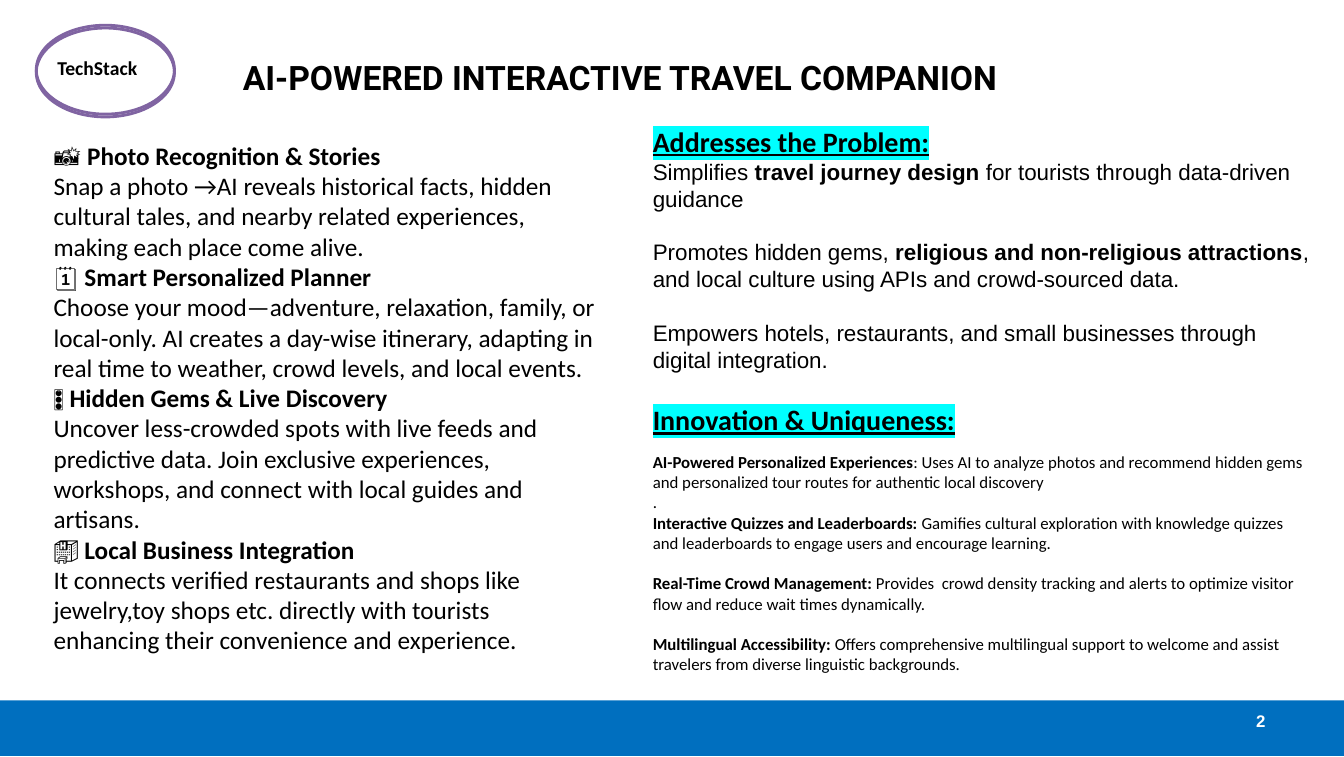
from lxml import etree
from pptx import Presentation
from pptx.dml.color import RGBColor
from pptx.enum import shapes, text
from pptx.oxml.ns import qn
from pptx.util import Pt

BLACK = RGBColor(0x00, 0x00, 0x00)
WHITE = RGBColor(0xFF, 0xFF, 0xFF)
BLUE = RGBColor(0x00, 0x6F, 0xBF)
PURPLE = RGBColor(0x80, 0x64, 0xA2)
CYAN = RGBColor(0x00, 0xFF, 0xFF)

PAGE_WIDTH, PAGE_HEIGHT = 959.04, 540

BODY = dict(name="Calibri", size=Pt(18))
PROBLEM = dict(name="Arial", size=Pt(16))
INNOVATION = dict(name="Calibri", size=Pt(12))
HEADING = dict(name="Calibri", size=Pt(20), underline=True)

# Each feature: icon, title, description
FEATURES = [
    ("📸 ", "Photo Recognition & Stories",
     "Snap a photo →AI reveals historical facts, hidden cultural tales, and nearby "
     "related experiences, making each place come alive."),
    ("🗓️ ", "Smart Personalized Planner",
     "Choose your mood—adventure, relaxation, family, or local-only. AI creates a "
     "day-wise itinerary, adapting in real time to weather, crowd levels, and local events."),
    ("🚦 ", "Hidden Gems & Live Discovery",
     "Uncover less-crowded spots with live feeds and predictive data. Join exclusive "
     "experiences, workshops, and connect with local guides and artisans."),
    ("🏨 ", "Local Business Integration",
     "It connects verified restaurants and shops like jewelry,toy shops etc. directly "
     "with tourists enhancing their convenience and experience."),
]

# Each paragraph: space before, then plain and bold pieces in turn
PROBLEMS = [
    (0, "Simplifies ", "travel journey design",
     " for tourists through data-driven guidance"),
    (19, "Promotes hidden gems, ", "religious and non-religious attractions",
     ", and local culture using APIs and crowd-sourced data."),
    (19, "Empowers hotels, restaurants, and small businesses through digital integration."),
]
INNOVATIONS = [
    (11, "", "AI-Powered Personalized Experiences",
     ": Uses AI to analyze photos and recommend hidden gems and personalized tour "
     "routes for authentic local discovery"),
    (0, "."),
    (0, "", "Interactive Quizzes and Leaderboards: ",
     "Gamifies cultural exploration with knowledge quizzes and leaderboards to engage "
     "users and encourage learning."),
    (14.5, "", "Real-Time Crowd Management:",
     " Provides  crowd density tracking and alerts to optimize visitor flow and reduce "
     "wait times dynamically."),
    (14.5, "", "Multilingual Accessibility:",
     " Offers comprehensive multilingual support to welcome and assist travelers from "
     "diverse linguistic backgrounds."),
]


def add_text_frame(page, left, top, width, height):
    frame = page.shapes.add_textbox(Pt(left), Pt(top), Pt(width), Pt(height)).text_frame
    settings = dict(word_wrap=True, margin_left=0, margin_top=0, margin_right=0,
                    margin_bottom=0, vertical_anchor=text.MSO_ANCHOR.TOP)
    for key, value in settings.items():
        setattr(frame, key, value)
    return frame


def add_para(frame, space=0):
    first = frame.paragraphs[0]
    para = frame.add_paragraph() if first.runs else first
    para.space_before = Pt(space)
    return para


def add_span(para, words, style, bold=False, color=BLACK):
    span = para.add_run()
    span.text = words
    for key, value in dict(style, bold=bold).items():
        setattr(span.font, key, value)
    span.font.color.rgb = color
    return span


def add_heading(frame, words, space=0):
    span = add_span(add_para(frame, space), words, HEADING, bold=True)
    # The highlight follows the fill in the run properties
    highlight = etree.Element(qn("a:highlight"))
    etree.SubElement(highlight, qn("a:srgbClr"), val=str(CYAN))
    span.font._element.find(qn("a:solidFill")).addnext(highlight)


def add_paragraphs(frame, rows, style):
    for space, *pieces in rows:
        para = add_para(frame, space)
        for index, words in enumerate(pieces):
            if words:
                add_span(para, words, style, bold=index % 2 == 1)


def add_footer(page, left, top, width, height):
    bar = page.shapes.add_shape(shapes.MSO_SHAPE.RECTANGLE,
                                Pt(left), Pt(top), Pt(width), Pt(height))
    bar.shadow.inherit = False
    bar.fill.solid()
    bar.fill.fore_color.rgb = BLUE
    bar.line.fill.background()
    # Page number
    frame = add_text_frame(page, left + width - 62.6, top + 7.2, 12, 16)
    add_span(add_para(frame), "2", dict(name="Arial", size=Pt(12)), bold=True, color=WHITE)


def add_badge(page, left, top, width, height):
    # Two offset rings
    for offset in (2, 0):
        ring = page.shapes.add_shape(shapes.MSO_SHAPE.OVAL, Pt(left), Pt(top + offset),
                                     Pt(width), Pt(height))
        ring.shadow.inherit = False
        ring.fill.background()
        ring.line.color.rgb = PURPLE
        ring.line.width = Pt(2)
    frame = add_text_frame(page, left + 15, top + 21.6, 75, 18)
    add_span(add_para(frame), "TechStack", dict(name="Calibri", size=Pt(14)), bold=True)


def add_title(page, left, top, width, height):
    para = add_para(add_text_frame(page, left, top, width, height))
    para.alignment = text.PP_ALIGN.CENTER
    add_span(para, "AI-POWERED INTERACTIVE TRAVEL COMPANION",
             dict(name="Roboto", size=Pt(24)), bold=True)


def add_features(page, left, top, width, height):
    frame = add_text_frame(page, left, top, width, height)
    for icon, title, description in FEATURES:
        para = add_para(frame)
        add_span(para, icon, BODY)
        add_span(para, title, BODY, bold=True)
        para.add_line_break()
        add_span(para, description, BODY)


def add_benefits(page, left, top, width, height):
    frame = add_text_frame(page, left, top, width, height)
    add_heading(frame, "Addresses the Problem:")
    add_paragraphs(frame, PROBLEMS, PROBLEM)
    add_heading(frame, "Innovation & Uniqueness:", space=21.5)
    add_paragraphs(frame, INNOVATIONS, INNOVATION)


def main():
    deck = Presentation()
    deck.slide_width, deck.slide_height = Pt(PAGE_WIDTH), Pt(PAGE_HEIGHT)
    page = deck.slides.add_slide(deck.slide_layouts[6])
    add_footer(page, 0, 499.7, PAGE_WIDTH, 39.6)
    add_title(page, 152.6, 40.3, 579.6, 30)
    add_features(page, 38.2, 100, 389.5, 370)
    add_benefits(page, 465.8, 88.6, 469.4, 400)
    add_badge(page, 25.9, 18, 98.6, 63.4)
    deck.save("out.pptx")


if __name__ == "__main__":
    main()
